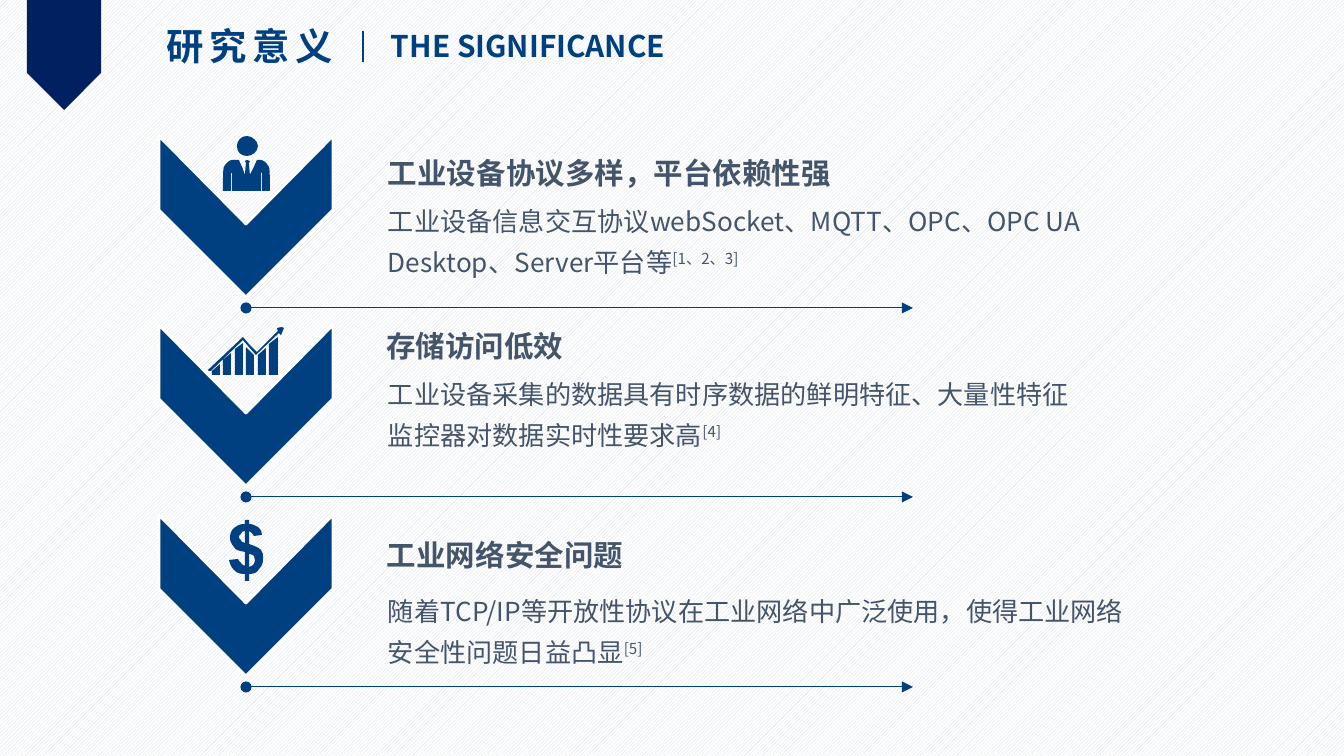
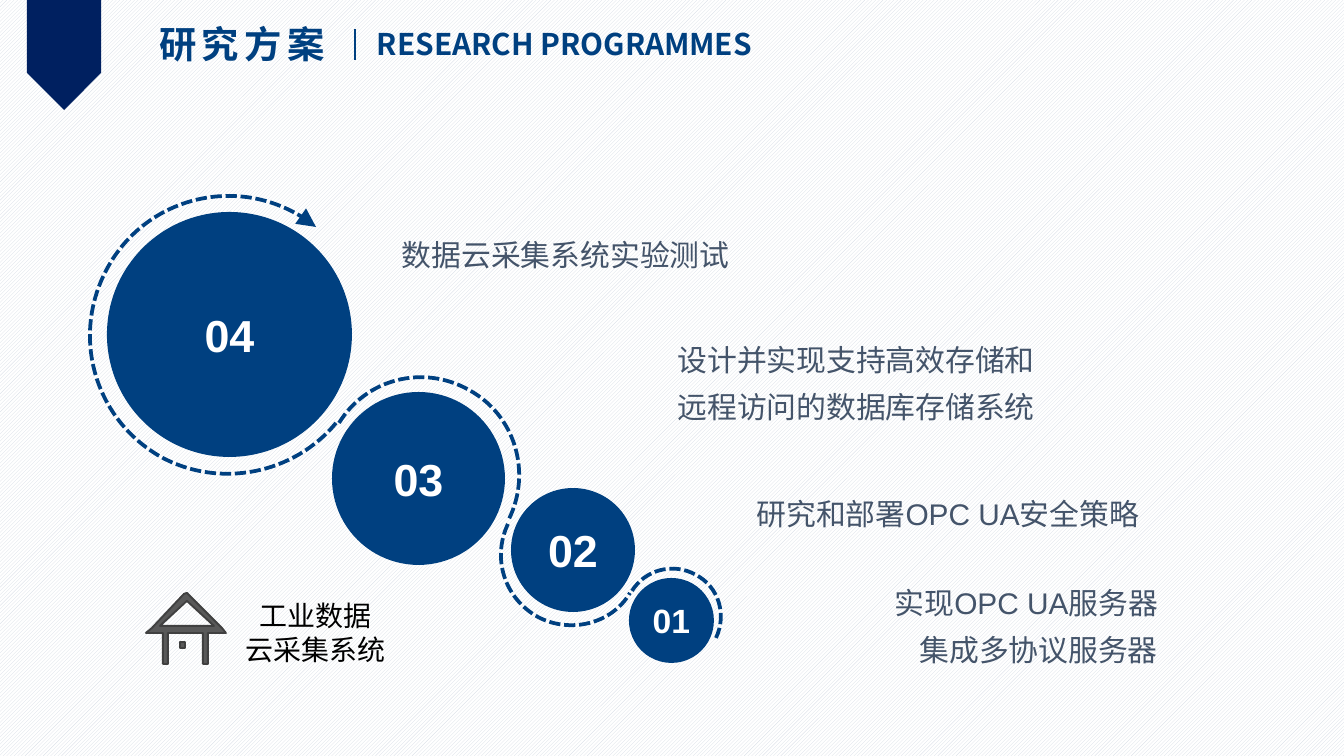
from lxml.etree import SubElement
from pptx import Presentation
from pptx.dml.color import RGBColor
from pptx.enum.dml import MSO_LINE, MSO_PATTERN
from pptx.enum.shapes import MSO_CONNECTOR, MSO_SHAPE
from pptx.enum.text import MSO_ANCHOR, MSO_AUTO_SIZE, PP_ALIGN as ALIGN
from pptx.oxml.ns import qn
from pptx.util import Emu, Pt

BLUE = RGBColor(0x00, 0x40, 0x80)
NAVY = RGBColor(0x00, 0x20, 0x60)
SLATE = RGBColor(0x44, 0x54, 0x6A)
HATCH = RGBColor(0xD6, 0xDC, 0xE5)
HOUSE_FILL = RGBColor(0x59, 0x59, 0x59)
HOUSE_LINE = RGBColor(0x40, 0x40, 0x40)
WHITE = RGBColor(0xFF, 0xFF, 0xFF)
BLACK = RGBColor(0, 0, 0)

SANS, ARIAL = "Noto Sans CJK SC", "Arial"
EMU_PER_PX = 914400 / 134.4
WIDE, SNUG, FLAT = (13, 7), (10, 5), (10, 0)  # text insets: sides, top and bottom

TITLE = dict(size=20, color=BLUE, bold=True, tracking=300)
SUBTITLE = dict(size=16, color=BLUE, bold=True)
HEADING = dict(size=15.8, color=SLATE, bold=True)
DETAIL = dict(size=14, color=SLATE)
CAPTION = dict(size=16, color=SLATE, name=ARIAL)
HOUSE_LABEL = dict(size=15, color=BLACK)


def px(length):
    return Emu(round(length * EMU_PER_PX))


# ---- Text ----

def add_span(para, text, size, color, name=SANS, bold=False, **marks):
    span = para.add_run()
    span.text = text
    for key, value in dict(size=Pt(size), bold=bold, name=name).items():
        setattr(span.font, key, value)
    span.font.color.rgb = color
    props = span._r.get_or_add_rPr()
    SubElement(props, qn("a:ea")).set("typeface", SANS)
    for key, attribute in dict(tracking="spc", raised="baseline").items():
        if key in marks:
            props.set(attribute, str(marks[key]))


def fill_text(frame, lines, style, insets=WIDE, align=ALIGN.LEFT, spacing=None,
              wrap=True, anchor=MSO_ANCHOR.TOP):
    """Each line is a string, or a pair of a string and its raised reference."""
    side, end = map(px, insets)
    settings = dict(margin_left=side, margin_right=side, margin_top=end, margin_bottom=end,
                    word_wrap=wrap, vertical_anchor=anchor, auto_size=MSO_AUTO_SIZE.NONE)
    for key, value in settings.items():
        setattr(frame, key, value)
    for index, line in enumerate(lines):
        para = frame.paragraphs[0] if index == 0 else frame.add_paragraph()
        para.alignment = align
        if spacing:
            para.line_spacing = spacing
        text, reference = (line, None) if isinstance(line, str) else line
        add_span(para, text, **style)
        if reference:
            add_span(para, reference, **style, raised=30000)


def add_text(page, box, lines, style, **layout):
    shape = page.shapes.add_textbox(*map(px, box))
    fill_text(shape.text_frame, lines, style, **layout)


# ---- Lines and outlines ----

def set_end(line, tag, **values):
    end = SubElement(line._get_or_add_ln(), qn("a:" + tag))
    for key, value in values.items():
        end.set(key, value)


def paint(shape, fill=None, line=None, width=1.0):
    shape.shadow.inherit = False
    if fill is None:
        shape.fill.background()
    else:
        shape.fill.solid()
        shape.fill.fore_color.rgb = fill
    if line is None:
        shape.line.fill.background()
    else:
        shape.line.color.rgb = line
        shape.line.width = Pt(width)
    return shape


def add_line(page, start, end, width, pointed=False):
    line = page.shapes.add_connector(MSO_CONNECTOR.STRAIGHT, *map(px, start + end))
    line.line.color.rgb = BLUE
    line.line.width = Pt(width)
    if pointed:
        set_end(line.line, "headEnd", type="oval")
        set_end(line.line, "tailEnd", type="triangle")
    SubElement(line._element.spPr, qn("a:effectLst"))


def bend(shape, contours, close):
    """Turn each run of three segments that stands for a curve into a Bezier."""
    outline = next(shape._element.spPr.iter(qn("a:path")))
    segments = iter(list(outline))
    for nodes in contours:
        for node in nodes:
            segment = next(segments)
            if len(node) == 6:
                segment.tag = qn("a:cubicBezTo")
                for extra in (next(segments), next(segments)):
                    segment.append(extra[0])
                    outline.remove(extra)
        if close:
            next(segments)


def add_outline(page, origin, contours, close=True, **colours):
    """A node is a corner (two numbers) or a Bezier curve (six numbers)."""
    left, top = origin
    builder = None
    for nodes in contours:
        points = [(px(left + node[i]), px(top + node[i + 1]))
                  for node in nodes for i in range(0, len(node), 2)]
        if builder is None:
            builder = page.shapes.build_freeform(*points[0])
        else:
            builder.move_to(*points[0])
        builder.add_line_segments(points[1:], close=close)
    shape = builder.convert_to_shape()
    bend(shape, contours, close)
    return paint(shape, **colours)


# ---- Shared parts ----

def dress_master(deck, page):
    """Hatch the master and place the ribbon on it."""
    master = deck.slide_master
    fill = master.background.fill
    fill.patterned()
    fill.pattern = MSO_PATTERN.LIGHT_UPWARD_DIAGONAL
    fill.fore_color.rgb, fill.back_color.rgb = HATCH, WHITE
    ribbon = paint(page.shapes.add_shape(MSO_SHAPE.PENTAGON, *map(px, (9, 18, 110, 74))), NAVY)
    ribbon.rotation = 90
    ribbon._element.nvSpPr.cNvPr.set("id", "20")
    master.shapes.element.append(ribbon._element)


def add_header(page, left, top, title, subtitle, gap, width):
    holder = page.shapes.title
    for key, value in dict(left=left, top=top, width=199, height=59).items():
        setattr(holder, key, px(value))
    fill_text(holder.text_frame, [title], TITLE, wrap=False)
    add_text(page, (left + gap, top + 5, width, 50), [subtitle], SUBTITLE, wrap=False)
    add_line(page, (left + 209, top + 15), (left + 209, top + 46), 1.5)


# ---- Significance ----

CHEVRON = [(174, 74), (87, 161), (0, 74), (0, 0), (87, 88), (174, 0), (174, 74)]

PERSON = [
    [(88, 24), (91, 25), (90, 27), (91, 39), (88, 45), (94, 33), (98, 24), (102, 24),
     (103, 24, 107, 25, 110, 31), (111, 33, 111, 45, 111, 55), (103, 55), (103, 37),
     (102, 36), (102, 55), (73, 55), (73, 37), (72, 37), (72, 55), (64, 55),
     (64, 45, 64, 33, 65, 31), (67, 27, 71, 24, 73, 24), (80, 24), (84, 33), (86, 39),
     (87, 27), (86, 25)],
    [(88, 0), (93, 0, 99, 5, 99, 10), (99, 16, 93, 20, 88, 20), (82, 20, 78, 16, 78, 10),
     (78, 5, 82, 0, 88, 0)],
]

# Bars: left, right, top at left, top at right
BARS = [(53, 61, 46, 39), (64, 72, 35, 28), (76, 84, 24, 18),
        (87, 95, 22, 30), (99, 107, 30, 23), (110, 119, 19, 12)]
GROWTH = [[(left, 50), (left, y1), (right, y2), (right, 50)] for left, right, y1, y2 in BARS] + [
    [(49, 45), (84, 12), (90, 19), (98, 27), (119, 6), (118, 3), (123, 2), (125, 3), (123, 8),
     (122, 10), (120, 8), (97, 30), (90, 22), (84, 15), (52, 46), (50, 46)],
]

DOLLAR = [
    [(86, 51), (86, 37), (80, 36, 76, 35, 75, 32), (72, 29, 71, 25, 71, 23),
     (71, 19, 72, 16, 75, 13), (78, 11, 80, 9, 86, 9), (86, 5), (90, 5), (90, 9),
     (94, 9, 96, 11, 99, 12), (102, 15, 103, 17, 103, 20), (95, 21),
     (94, 19, 92, 17, 90, 16), (90, 29), (95, 31, 99, 32, 102, 35),
     (104, 37, 104, 40, 104, 44), (104, 48, 103, 51, 100, 54), (98, 58, 95, 59, 90, 59),
     (90, 66), (86, 66), (86, 59), (80, 59, 78, 58, 75, 55), (72, 52, 71, 49, 70, 45),
     (79, 44), (80, 45, 80, 47, 82, 48), (83, 49, 84, 51, 86, 51)],
    [(86, 16), (83, 16, 83, 17, 82, 19), (80, 20, 80, 20, 80, 21), (80, 23, 80, 24, 82, 25),
     (82, 27, 83, 27, 86, 28)],
    [(90, 52), (92, 51, 94, 51, 95, 49), (95, 48, 96, 47, 96, 45), (96, 44, 95, 43, 95, 41),
     (94, 40, 92, 39, 90, 39)],
]

# Icon, heading, heading box (left, drop, width), detail drop, detail lines
REASONS = [
    (PERSON, "工业设备协议多样，平台依赖性强", (219, 1, 481), 55,
     ["工业设备信息交互协议webSocket、MQTT、OPC、OPC UA",
      ("Desktop、Server平台等", "[1、2、3]")]),
    (GROWTH, "存储访问低效", (217, -15, 250), 39,
     ["工业设备采集的数据具有时序数据的鲜明特征、大量性特征",
      ("监控器对数据实时性要求高", "[4]")]),
    (DOLLAR, "工业网络安全问题", (218, 4, 278), 66,
     [("随着TCP/IP等开放性协议在工业网络中广泛使用，使得工业网络安全性问题日益凸显", "[5]")]),
]


def add_reason(page, left, top, reason):
    icon, heading, (indent, drop, width), detail_drop, details = reason
    add_outline(page, (left, top), [CHEVRON], fill=BLUE, line=WHITE, width=1.5)
    add_outline(page, (left, top), icon, fill=BLUE)
    add_text(page, (left + indent, top + drop, width, 54), [heading], HEADING,
             insets=FLAT, spacing=1.5)
    add_text(page, (left + 219, top + detail_drop, 774, 91), details, DETAIL,
             insets=SNUG, spacing=1.3)
    add_line(page, (left + 87, top + 172), (left + 754, top + 172), 0.5, pointed=True)


def build_significance(page):
    add_header(page, 154, 16, "研究意义", "THE SIGNIFICANCE", 224, 314)
    for index, reason in enumerate(REASONS):
        add_reason(page, 159, 136 + index * 379 // 2, reason)


# ---- Research programme ----

# Label, disc (left, top, size), text size, trail around the disc
STAGES = [
    ("04", (107, 212, 245), 24,
     [(336, 423), (294, 474, 220, 489, 161, 457), (94, 419, 70, 335, 108, 267),
      (145, 200, 230, 176, 297, 214), (304, 218, 310, 222, 316, 227)]),
    ("03", (332, 392, 173), 24,
     [(339, 423), (366, 379, 423, 364, 469, 390), (515, 415, 532, 472, 509, 519)]),
    ("02", (511, 488, 124), 24,
     [(508, 524), (492, 558, 504, 598, 538, 617), (570, 634, 612, 624, 630, 593)]),
    ("01", (629, 578, 85), 18,
     [(632, 591), (645, 570, 673, 562, 696, 575), (719, 587, 727, 615, 716, 638)]),
]

CAPTIONS = [
    ((392, 221, 468, 56), ALIGN.JUSTIFY, ["数据云采集系统实验测试"]),
    ((571, 480, 578, 56), ALIGN.RIGHT, ["研究和部署OPC UA安全策略"]),
    ((548, 326, 497, 103), ALIGN.RIGHT, ["设计并实现支持高效存储和", "远程访问的数据库存储系统"]),
    ((749, 569, 419, 103), ALIGN.RIGHT, ["实现OPC UA服务器", "集成多协议服务器"]),
]

HOUSE = [
    [(39, 49), (34, 49), (34, 55), (39, 55), (39, 49)],
    [(14, 33), (41, 8), (68, 33), (18, 33), (14, 33)],
    [(41, 0), (38, 1), (6, 35), (0, 40), (17, 40), (17, 71), (22, 71), (22, 40), (57, 40),
     (57, 71), (62, 71), (62, 40), (80, 40), (76, 35), (42, 1), (41, 0)],
]


def add_stage(page, label, disc, size, trail_nodes, is_last):
    trail = add_outline(page, (0, 0), [trail_nodes], close=False, line=BLUE, width=2)
    trail.line.dash_style = MSO_LINE.SQUARE_DOT
    if is_last:
        set_end(trail.line, "tailEnd", type="triangle", w="lg", len="lg")
    left, top, side = disc
    shape = page.shapes.add_shape(MSO_SHAPE.OVAL, *map(px, (left, top, side, side)))
    paint(shape, BLUE)
    style = dict(size=size, color=WHITE, bold=True, name=ARIAL)
    fill_text(shape.text_frame, [label], style, insets=SNUG, align=ALIGN.CENTER,
              anchor=MSO_ANCHOR.MIDDLE)


def add_house(page, left, top):
    add_outline(page, (left, top), HOUSE, fill=HOUSE_FILL, line=HOUSE_LINE, width=1)
    add_text(page, (left + 86, top - 1, 167, 81), ["工业数据", "云采集系统"], HOUSE_LABEL,
             align=ALIGN.CENTER, wrap=False)


def build_programme(page):
    add_header(page, 146, 14, "研究方案", "RESEARCH PROGRAMMES", 218, 423)
    for index, stage in enumerate(STAGES):
        add_stage(page, *stage, is_last=index == 0)
    for box, align, lines in CAPTIONS:
        add_text(page, box, lines, CAPTION, insets=SNUG, align=align, spacing=1.3)
    add_house(page, 146, 593)


def main():
    deck = Presentation()
    deck.slide_width, deck.slide_height = px(1344), px(756)
    title_only = deck.slide_layouts[5]
    for index, build in enumerate((build_significance, build_programme)):
        page = deck.slides.add_slide(title_only)
        if index == 0:
            dress_master(deck, page)
        build(page)
    deck.save("out.pptx")


if __name__ == "__main__":
    main()
